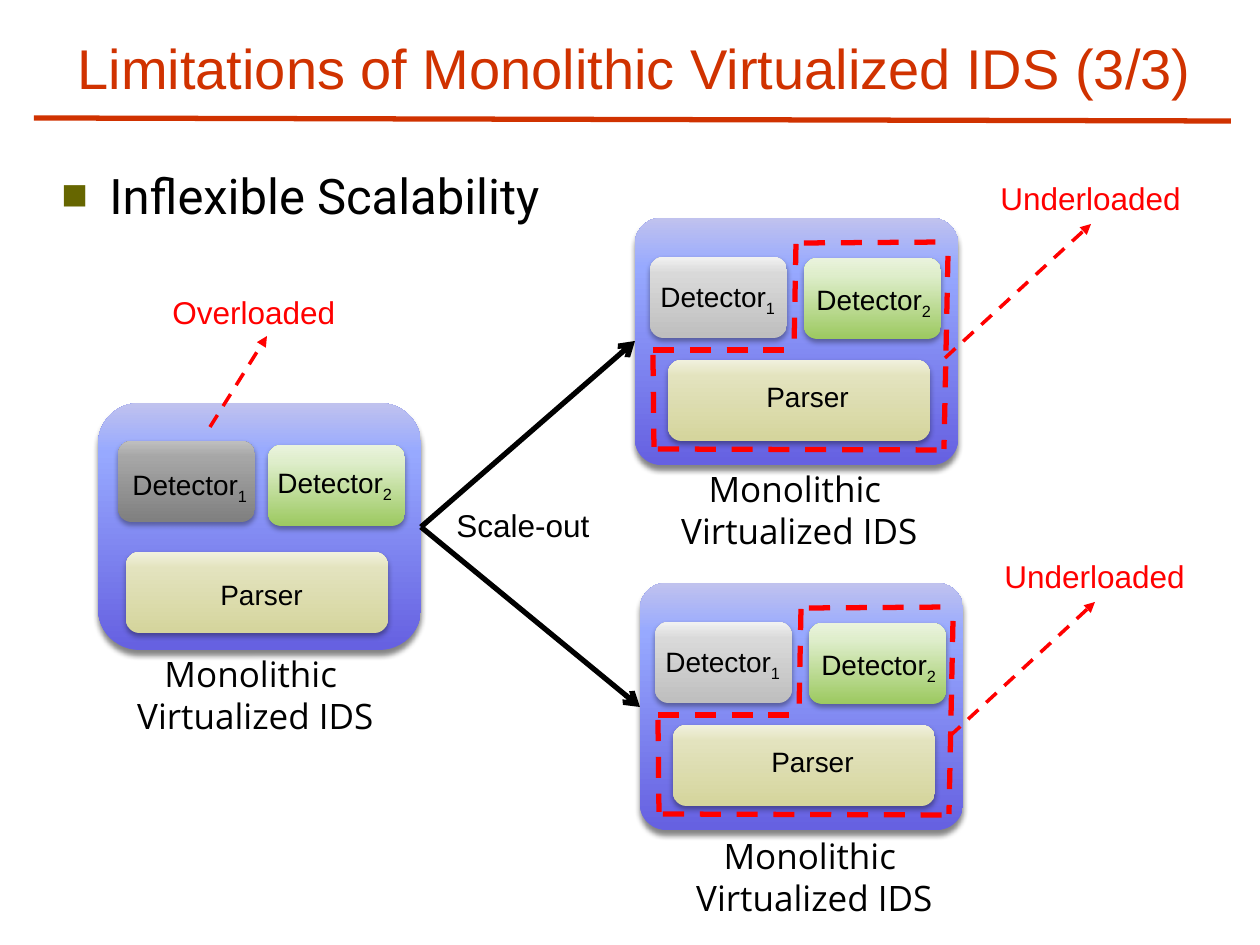
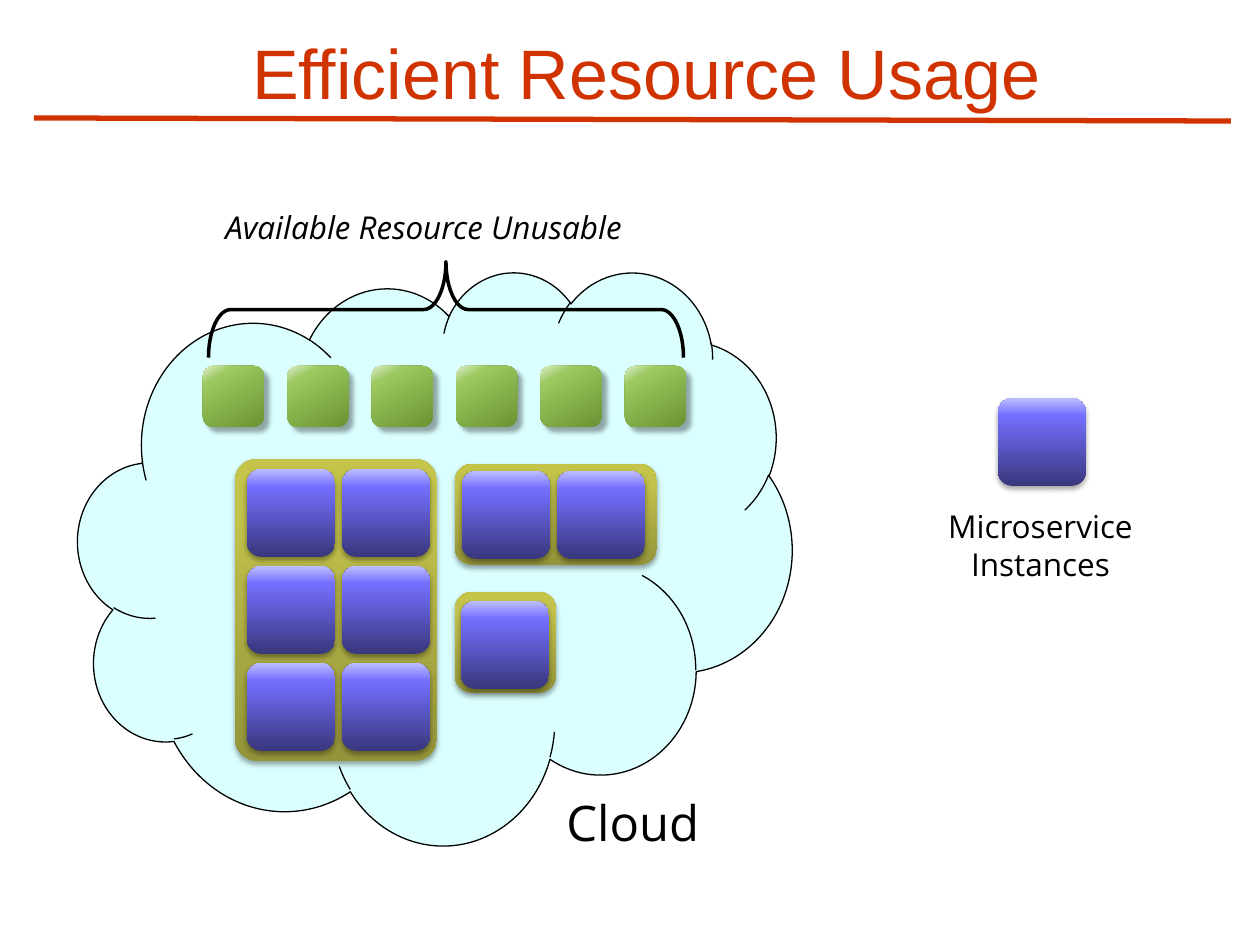
from lxml.etree import SubElement
from pptx import Presentation
from pptx.dml.color import RGBColor
from pptx.enum.dml import MSO_LINE
from pptx.enum.shapes import MSO_CONNECTOR, MSO_SHAPE as Preset
from pptx.enum.text import MSO_ANCHOR as Anchor, MSO_AUTO_SIZE as AutoSize, PP_ALIGN as Align
from pptx.oxml.ns import qn
from pptx.util import Pt

SCALE = 914400 / 126
COLORS = {"accent": "D03200", "ink": "000000", "alert": "FF0000", "bullet": "666600", "cloud": "DBFFFF"}

# Gradient stops, from the lower end to the upper end: (percent, colour)
GRADIENTS = {
    "ids": [(1, "6661E1"), (80, "97A9FF"), (100, "C0C2EE")],
    "idle": [(1, "BFBFBF"), (80, "D9D9D9"), (100, "F2F2F2")],
    "busy": [(1, "808080"), (80, "A6A6A6"), (100, "BFBFBF")],
    "detector": [(0, "9CC960"), (80, "DFEECC"), (100, "EAF3DD")],
    "parser": [(2, "D5D59D"), (80, "E3E3BE"), (100, "F1F1DE")],
    "instance": [(0, "39377C"), (80, "746FFF"), (100, "BEBEFF")],
    "host": [(0, "94943A"), (80, "C1C14C"), (100, "C4C44A")],
    "resource": [(0, "6A9432"), (80, "9CC960"), (100, "DFEECC")],
}
# Shadows: opacity percent, blur pt, distance pt, direction in degrees
SOFT, STRONG, SLANTED = (35, 3.1, 1.8, 90), (48, 3.1, 3, 90), (35, 2.6, 4, 45)

TITLE_RULE = ((34, 118), (1231, 121))

# Slide 1: places inside a panel count from the panel's corner
IDS_SIZE = (323, 247)
PART_SIZES = {"detector": (137, 81), "parser": (262, 81)}
LABEL_SIZES = {"detector": (142, 47), "parser": (271, 47)}
# Part: kind, gradient, box corner, label corner, label runs
LOADED_PARTS = [
    ("detector", "busy", (20, 38), (22, 58), ("Detector", "1")),
    ("parser", "parser", (28, 149), (28, 168), ("Parser",)),
    ("detector", "detector", (170, 42), (167, 56), ("Detector", "2")),
]
SCALED_PARTS = [
    ("detector", "detector", (169, 40), (169, 58), ("Detector", "2")),
    ("detector", "idle", (15, 39), (13, 55), ("Detector", "1")),
    ("parser", "parser", (33, 142), (37, 155), ("Parser",)),
]
# Panel: corner, rounding, parts, caption corner
LOADED_IDS = ((98, 403), 0.167, LOADED_PARTS, (110, 646))
SCALED_IDS = [
    ((635, 218), 0.105, SCALED_PARTS, (654, 461)),
    ((640, 583), 0.105, SCALED_PARTS, (669, 828)),
]
IDS_CAPTION = ["Monolithic ", "Virtualized IDS"]
UNDERLOADED_OUTLINE = [
    ((18, 132), (159, 132)), ((161, 26), (159, 130)), ((313, 38), (309, 231)),
    ((169, 25), (313, 24)), ((23, 231), (311, 232)), ((18, 137), (19, 229)),
]
SCALE_OUT_START = (421, 527)
SCALE_OUT_ENDS = [(635, 341), (640, 707)]
# Load remark: text, label box, arrow start, arrow end
LOAD_REMARKS = [
    ("Overloaded", (160, 287, 190, 50), (210, 427), (267, 336)),
    ("Underloaded", (988, 173, 208, 50), (945, 358), (1091, 224)),
    ("Underloaded", (992, 551, 208, 50), (950, 736), (1095, 602)),
]

# Slide 2: host box, rounding, first instance corner, columns, rows
HOSTS = [
    ((235, 459, 202, 302), 0.109, (247, 469), 2, 3),
    ((455, 464, 202, 101), 0.167, (462, 471), 2, 1),
    ((455, 592, 101, 101), 0.167, (461, 601), 1, 1),
]
INSTANCE_SIZE, INSTANCE_PITCH = 88, (95, 97)
LEGEND_INSTANCE = (998, 398)
RESOURCE_COUNT, RESOURCE_SIZE, RESOURCE_TOP = 6, 61, 366
RESOURCE_FIRST, RESOURCE_LAST = 203, 625


def emu(*pixels):
    """Turn pixels into EMU."""
    return [round(value * SCALE) for value in pixels]


def rgb(name):
    """Look up a named colour."""
    return RGBColor.from_string(COLORS[name])


def style(paragraph, size, font, color="ink", align=None):
    """Format a whole paragraph."""
    paragraph.font.size = Pt(size)
    paragraph.font.name = font
    paragraph.font.color.rgb = rgb(color)
    paragraph.alignment = align


def add_label(shapes, box, lines, size, font="Open Sans", color="ink", align=None, wrap=False):
    """Add text; each line is a tuple of a base run and an optional subscript."""
    frame = shapes.add_textbox(*emu(*box)).text_frame
    frame.word_wrap = wrap
    for index, (base, *subscripts) in enumerate(lines):
        paragraph = frame.add_paragraph() if index else frame.paragraphs[0]
        paragraph.add_run().text = base
        for subscript in subscripts:
            run = paragraph.add_run()
            run.text = subscript
            run.font._element.set("baseline", "-25000")
        style(paragraph, size, font, color, align)
    return frame


def add_block(shapes, box, gradient, shadow=SOFT, rounding=0.167, angle=90):
    """Add a rounded box with a gradient and a cast shadow."""
    block = shapes.add_shape(Preset.ROUNDED_RECTANGLE, *emu(*box))
    block.adjustments[0] = rounding
    block.fill.gradient()
    block.fill.gradient_angle = angle
    block.line.fill.background()
    block.shadow.inherit = False
    properties = block._element.spPr
    stops = properties.find(".//" + qn("a:gsLst"))
    for stop in list(stops):
        stops.remove(stop)
    for percent, color in GRADIENTS[gradient]:
        stop = SubElement(stops, qn("a:gs"), pos=str(percent * 1000))
        SubElement(stop, qn("a:srgbClr"), val=color)
    opacity, blur, distance, direction = shadow
    cast = SubElement(properties.find(qn("a:effectLst")), qn("a:outerShdw"),
                      blurRad=str(Pt(blur)), dist=str(Pt(distance)),
                      dir=str(direction * 60000), rotWithShape="0")
    ink = SubElement(cast, qn("a:srgbClr"), val=COLORS["ink"])
    SubElement(ink, qn("a:alpha"), val=str(opacity * 1000))


def add_line(shapes, start, end, color, width=3, dashed=False, head=None):
    """Add a straight line, dashed or with an arrowhead if asked."""
    line = shapes.add_connector(MSO_CONNECTOR.STRAIGHT, *emu(*start, *end))
    line.line.color.rgb = rgb(color)
    line.line.width = Pt(width)
    if dashed:
        line.line.dash_style = MSO_LINE.DASH
    properties = line._element.spPr
    if head:
        SubElement(properties.find(qn("a:ln")), qn("a:tailEnd"), type=head)
    SubElement(properties, qn("a:effectLst"))
    return line


def add_titled_slide(deck, title, box, size):
    """Add a title-only slide and format its title."""
    slide = deck.slides.add_slide(deck.slide_layouts[5])
    heading = slide.shapes.title
    heading.left, heading.top, heading.width, heading.height = emu(*box)
    frame = heading.text_frame
    frame.text = title
    frame.word_wrap = True
    frame.auto_size = AutoSize.NONE
    frame.vertical_anchor = Anchor.BOTTOM
    style(frame.paragraphs[0], size, "Arial", "accent", Align.CENTER)
    return slide


def add_bullet(shapes, box, text):
    """Add a top-level point with a square bullet."""
    frame = add_label(shapes, box, [(text,)], 28, "Roboto", wrap=True)
    indent = emu(48)[0]
    properties = frame.paragraphs[0]._p.get_or_add_pPr()
    properties.set("marL", str(indent))
    properties.set("indent", str(-indent))
    marks = [SubElement(properties, qn("a:buClr")),
             SubElement(properties, qn("a:buSzPct"), val="90000"),
             SubElement(properties, qn("a:buFont"), typeface="Arial"),
             SubElement(properties, qn("a:buChar"), char="■")]
    SubElement(marks[0], qn("a:srgbClr"), val=COLORS["bullet"])
    for position, mark in enumerate(marks):
        properties.insert(position, mark)


def add_ids(slide, corner, rounding, parts, caption):
    """Add one IDS panel with its parts and caption."""
    def place(offset):
        return corner[0] + offset[0], corner[1] + offset[1]

    panel = slide.shapes.add_group_shape().shapes
    add_block(panel, (*corner, *IDS_SIZE), "ids", STRONG, rounding)
    for kind, gradient, box_at, label_at, words in parts:
        add_block(panel, (*place(box_at), *PART_SIZES[kind]), gradient)
        add_label(panel, (*place(label_at), *LABEL_SIZES[kind]), [words], 16, "Arial",
                  align=Align.CENTER if kind == "parser" else None, wrap=True)
    if parts is SCALED_PARTS:
        outline = slide.shapes.add_group_shape().shapes
        for start, end in UNDERLOADED_OUTLINE:
            add_line(outline, place(start), place(end), "alert", dashed=True)
    add_label(slide.shapes, (*caption, 291, 97), [(line,) for line in IDS_CAPTION], 20,
              align=Align.CENTER)


def build_limitations(deck):
    """Build the slide on inflexible scaling."""
    slide = add_titled_slide(deck, "Limitations of Monolithic Virtualized IDS (3/3)",
                             (10, 14, 1250, 93), 32)
    shapes = slide.shapes
    rule = add_line(shapes, *TITLE_RULE, "accent")
    slide.slide_layout.shapes._spTree.append(rule._element)
    add_bullet(shapes, (49, 159, 1116, 93), "Inflexible Scalability")
    add_ids(slide, *LOADED_IDS)
    for end in SCALE_OUT_ENDS:
        add_line(shapes, SCALE_OUT_START, end, "ink", head="arrow")
    for panel in SCALED_IDS:
        add_ids(slide, *panel)
    for remark, box, start, end in LOAD_REMARKS:
        add_line(shapes, start, end, "alert", 2, dashed=True, head="triangle")
        add_label(shapes, box, [(remark,)], 18, "Arial", "alert")
    add_label(shapes, (444, 500, 160, 50), [("Scale-out",)], 18, "Arial")


def add_instance(shapes, left, top):
    """Add one microservice instance."""
    add_block(shapes, (left, top, INSTANCE_SIZE, INSTANCE_SIZE), "instance")


def build_resource_usage(deck):
    """Build the slide on resource usage in the cloud."""
    slide = add_titled_slide(deck, "Efficient Resource Usage", (60, 34, 1172, 86), 40)
    shapes = slide.shapes
    cloud = shapes.add_shape(Preset.CLOUD, *emu(78, 271, 714, 573))
    cloud.fill.solid()
    cloud.fill.fore_color.rgb = rgb("cloud")
    cloud.line.width = Pt(0.75)
    brace = shapes.add_shape(Preset.RIGHT_BRACE, *emu(398, 72, 96, 475))
    brace.rotation = 270
    brace.adjustments[0], brace.adjustments[1] = 0.232, 0.5
    brace.fill.background()
    brace.line.width = Pt(2)
    for outline in (cloud, brace):
        outline.line.color.rgb = rgb("ink")
        outline.shadow.inherit = False

    for box, rounding, (left, top), columns, rows in HOSTS:
        host = shapes.add_group_shape().shapes
        add_block(host, box, "host", rounding=rounding)
        for row in range(rows):
            for column in range(columns):
                add_instance(host, left + column * INSTANCE_PITCH[0], top + row * INSTANCE_PITCH[1])

    resources = shapes.add_group_shape().shapes
    pitch = (RESOURCE_LAST - RESOURCE_FIRST) / (RESOURCE_COUNT - 1)
    for index in range(RESOURCE_COUNT):
        box = (RESOURCE_FIRST + index * pitch, RESOURCE_TOP, RESOURCE_SIZE, RESOURCE_SIZE)
        add_block(resources, box, "resource", SLANTED, angle=120)

    add_instance(shapes, *LEGEND_INSTANCE)
    add_label(shapes, (929, 501, 223, 89), [("Microservice",), ("Instances",)], 18,
              align=Align.CENTER)
    remark = add_label(shapes, (213, 202, 494, 50), [("Available Resource Unusable",)], 18)
    remark.paragraphs[0].font.italic = True
    add_label(shapes, (554, 786, 166, 72), [("Cloud",)], 28)


deck = Presentation()
deck.slide_width, deck.slide_height = emu(1260, 945)
build_limitations(deck)
build_resource_usage(deck)
deck.save("out.pptx")
